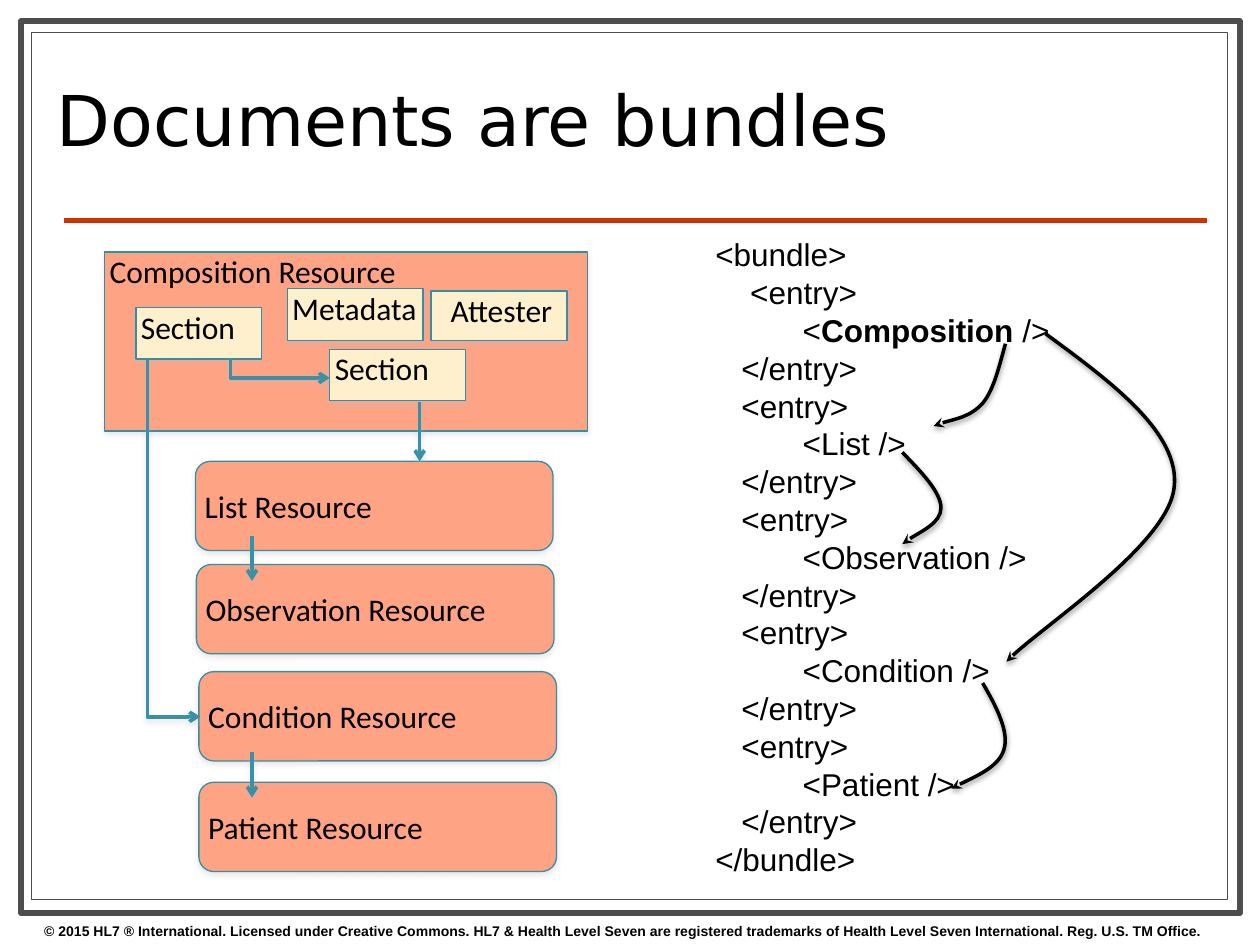
from lxml.etree import SubElement
from pptx import Presentation
from pptx.dml.color import RGBColor
from pptx.enum.shapes import MSO_CONNECTOR, MSO_SHAPE
from pptx.enum.text import MSO_ANCHOR, MSO_AUTO_SIZE, PP_ALIGN
from pptx.oxml.ns import qn
from pptx.util import Cm, Pt

BLACK = RGBColor(0x00, 0x00, 0x00)
SILVER = RGBColor(0xC0, 0xC0, 0xC0)
FRAME_GREY = RGBColor(0x4D, 0x4D, 0x4D)
RULE_RED = RGBColor(0xCC, 0x33, 0x00)
SALMON = RGBColor(0xFF, 0xA3, 0x85)
CREAM = RGBColor(0xFE, 0xF0, 0xCD)
BORDER_TEAL = RGBColor(0x33, 0x8F, 0xA5)
ARROW_TEAL = RGBColor(0x38, 0x91, 0xA7)

COPYRIGHT = (
    "© 2015 HL7 ® International. Licensed under Creative Commons. "
    "HL7 & Health Level Seven are registered trademarks of "
    "Health Level Seven International. Reg. U.S. TM Office."
)
ENTRIES = ["Composition", "List", "Observation", "Condition", "Patient"]
RESOURCES = [
    ("List Resource", 3.94, 9.3),
    ("Observation Resource", 3.96, 11.38),
    ("Condition Resource", 4.01, 13.54),
    ("Patient Resource", 4.01, 15.77),
]
PARTS = [
    ("Section", 2.74, 6.2, 2.54, 1.04, PP_ALIGN.LEFT),
    ("Section", 6.65, 7.04, 2.74, 1.04, PP_ALIGN.LEFT),
    ("Attester", 8.69, 5.87, 2.74, 0.99, PP_ALIGN.CENTER),
    ("Metadata", 5.79, 5.82, 2.74, 1.04, PP_ALIGN.LEFT),
]
ELBOWS = [
    [(4.65, 7.24), (4.65, 7.62), (6.65, 7.62)],
    [(2.97, 7.24), (2.97, 14.45), (4.04, 14.45)],
]
DROPS = [(8.46, 8.1, 9.3), (5.08, 10.8, 11.71), (5.08, 15.16, 16.08)]
CURVES = [
    [(20.27, 6.93), (20.14, 7.39), (20.04, 7.85), (19.81, 8.13),
     (19.56, 8.41), (18.97, 8.51), (18.82, 8.59)],
    [(21.08, 6.73), (22.43, 7.72), (23.8, 8.74), (23.67, 9.83),
     (23.55, 10.95), (20.83, 12.75), (20.29, 13.34)],
    [(19.81, 13.77), (20.09, 14.25), (20.35, 14.76), (20.24, 15.11),
     (20.14, 15.47), (19.3, 15.82), (19.18, 15.9)],
    [(18.19, 9.12), (18.59, 9.53), (18.97, 9.93), (18.97, 10.24),
     (18.97, 10.54), (18.31, 10.85), (18.19, 10.97)],
]


def write(paragraph, text, size=18, font="Calibri", bold=False):
    run = paragraph.add_run()
    run.text = text
    run.font.size = Pt(size)
    run.font.name = font
    run.font.bold = bold
    run.font.color.rgb = BLACK


class BundleSlide:
    """Holds the style and the slide, with a method for each kind of element."""

    def __init__(self, deck):
        self.slide = deck.slides.add_slide(deck.slide_layouts[5])
        self.shapes = self.slide.shapes

    def outline(self, shape, color, width, head=None, shadow=None, alpha=38):
        shape.line.color.rgb = color
        shape.line.width = Pt(width)
        properties = shape._element.spPr
        if head:
            SubElement(properties.find(qn("a:ln")), qn("a:tailEnd"), type=head)
        effects = SubElement(properties, qn("a:effectLst"))
        if shadow is not None:
            outer = SubElement(
                effects, qn("a:outerShdw"), blurRad=str(Pt(3)),
                dist=str(Pt(1.7)), dir="5400000", rotWithShape="0")
            tint = SubElement(outer, qn("a:srgbClr"), val=str(shadow))
            SubElement(tint, qn("a:alpha"), val=str(alpha * 1000))

    def title(self, text):
        heading = self.shapes.title
        heading.left, heading.top = Cm(0.89), Cm(0.91)
        heading.width, heading.height = Cm(18.21), Cm(3.28)
        frame = heading.text_frame
        frame.auto_size = MSO_AUTO_SIZE.NONE
        frame.vertical_anchor = MSO_ANCHOR.MIDDLE
        paragraph = frame.paragraphs[0]
        paragraph.alignment = PP_ALIGN.LEFT
        paragraph.line_spacing = 0.8
        write(paragraph, text, size=40, font="DejaVu Sans")

    def border(self, left, top, width, height, weight):
        border = self.shapes.add_shape(
            MSO_SHAPE.RECTANGLE, Cm(left), Cm(top), Cm(width), Cm(height))
        border.fill.background()
        self.outline(border, FRAME_GREY, weight)

    def line(self, start, end, color, weight, **effects):
        points = [Cm(value) for value in (*start, *end)]
        line = self.shapes.add_connector(MSO_CONNECTOR.STRAIGHT, *points)
        self.outline(line, color, weight, **effects)

    def box(self, text, left, top, width, height, fill,
            kind=MSO_SHAPE.RECTANGLE, anchor=MSO_ANCHOR.TOP,
            align=PP_ALIGN.LEFT):
        box = self.shapes.add_shape(
            kind, Cm(left), Cm(top), Cm(width), Cm(height))
        box.fill.solid()
        box.fill.fore_color.rgb = fill
        self.outline(box, BORDER_TEAL, 0.75, shadow=SILVER, alpha=35)
        frame = box.text_frame
        frame.word_wrap = True
        frame.vertical_anchor = anchor
        frame.margin_left = Cm(0.1)
        frame.margin_top = frame.margin_right = frame.margin_bottom = 0
        frame.paragraphs[0].alignment = align
        write(frame.paragraphs[0], text)

    def text(self, left, top, width, height, wrap):
        label = self.shapes.add_textbox(
            Cm(left), Cm(top), Cm(width), Cm(height))
        label.text_frame.word_wrap = wrap
        return label.text_frame

    def route(self, points, color, head, shadow, curved=False):
        start, *rest = [(Cm(x), Cm(y)) for x, y in points]
        builder = self.shapes.build_freeform(*start)
        builder.add_line_segments(rest, close=False)
        route = builder.convert_to_shape()
        route.fill.background()
        if curved:
            self.bend(route)
        self.outline(route, color, 2, head=head, shadow=shadow)

    def bend(self, route):
        track = route._element.spPr.find(".//" + qn("a:path"))
        steps = track.findall(qn("a:lnTo"))
        for first in range(0, len(steps), 3):
            curve = SubElement(track, qn("a:cubicBezTo"))
            for step in steps[first:first + 3]:
                curve.append(step[0])
                track.remove(step)

    def code(self, entries):
        lines = ["<bundle>"]
        for number, entry in enumerate(entries):
            opening = "    <entry>" if number == 0 else "   <entry>"
            lines += [opening, f"          <{entry} />", "   </entry>"]
        lines.append("</bundle>")
        frame = self.text(14.17, 4.62, 7.32, 13.34, wrap=False)
        for number, line in enumerate(lines):
            paragraph = frame.add_paragraph() if number else frame.paragraphs[0]
            before, strong, after = line.partition("Composition")
            for part, bold in ((before, False), (strong, True), (after, False)):
                if part:
                    write(paragraph, part, font="Arial", bold=bold)


def main():
    deck = Presentation()
    deck.slide_width, deck.slide_height = Cm(25.4), Cm(19.05)
    page = BundleSlide(deck)
    page.border(0.43, 0.43, 24.56, 17.98, 3.5)
    page.border(0.64, 0.66, 24.1, 17.48, 0.75)
    page.line((1.3, 4.45), (24.33, 4.45), RULE_RED, 3)
    page.title("Documents are bundles")
    footer = page.text(0.64, 18.47, 24.7, 0.58, wrap=True)
    write(footer.paragraphs[0], COPYRIGHT, size=8, font="Arial", bold=True)

    page.box("Composition Resource", 2.11, 5.08, 9.73, 3.61, SALMON)
    for name, left, top in RESOURCES:
        page.box(name, left, top, 7.21, 1.8, SALMON,
                 kind=MSO_SHAPE.ROUNDED_RECTANGLE, anchor=MSO_ANCHOR.MIDDLE)
    for name, left, top, width, height, align in PARTS:
        page.box(name, left, top, width, height, CREAM, align=align)

    for points in ELBOWS:
        page.route(points, ARROW_TEAL, "arrow", SILVER)
    for x, top, bottom in DROPS:
        page.line((x, top), (x, bottom), ARROW_TEAL, 2,
                  head="arrow", shadow=SILVER)
    page.code(ENTRIES)
    for points in CURVES:
        page.route(points, BLACK, "stealth", BLACK, curved=True)
    deck.save("out.pptx")


if __name__ == "__main__":
    main()
